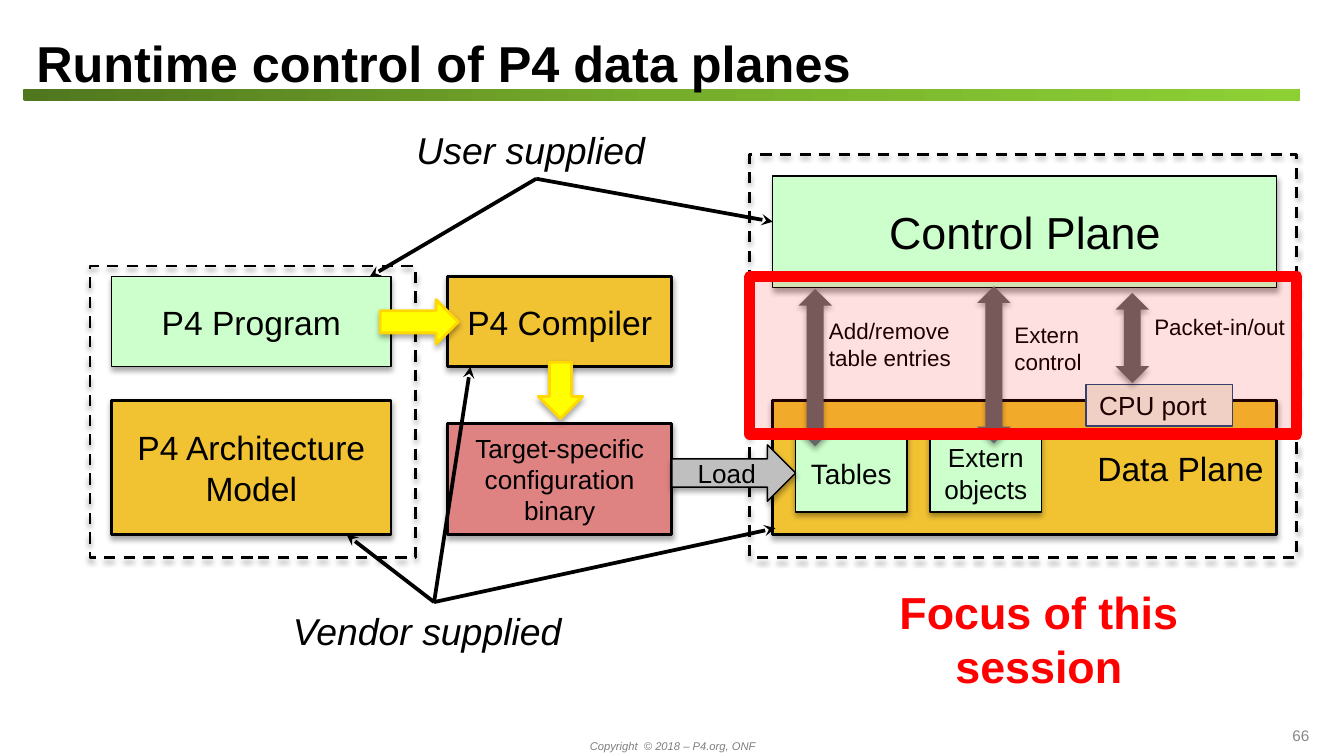
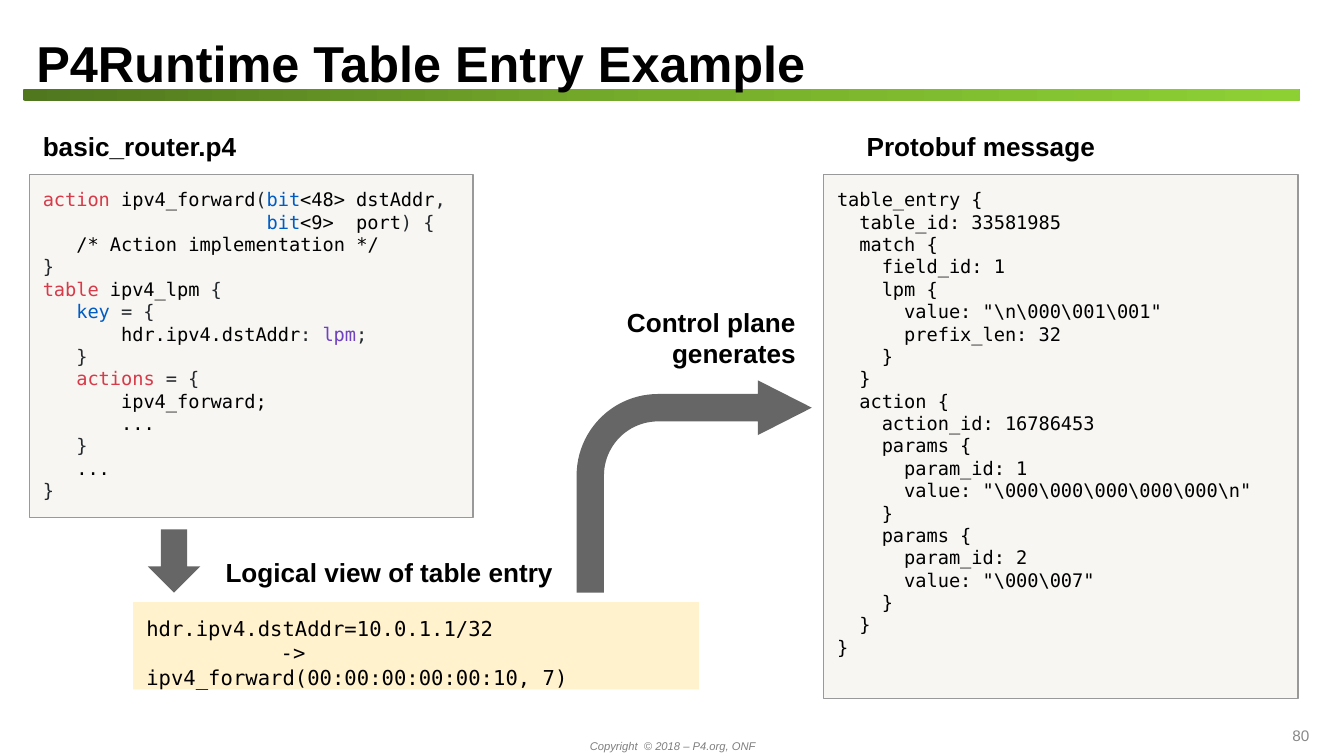
import copy
from dataclasses import dataclass, field
from functools import partial
from typing import Any, Optional

import pptx
import pptx.dml.color
import pptx.enum.dml
import pptx.enum.shapes
import pptx.enum.text
import pptx.oxml
import pptx.oxml.ns
import pptx.util

Inches, Pt = pptx.util.Inches, pptx.util.Pt
Kind = pptx.enum.shapes.MSO_SHAPE
Align, Anchor = pptx.enum.text.PP_ALIGN, pptx.enum.text.MSO_ANCHOR
qn = pptx.oxml.ns.qn
NS = pptx.oxml.ns.nsdecls("a")

SANS, MONO = "Arial", "DejaVu Sans Mono"
BLACK, RED, GRAY = "000000", "FF0000", "666666"
GREEN, GOLD, ROSE, YELLOW = "CCFFCC", "F1C232", "DE8282", "FFFF00"
IVORY, CREAM = "EEECE1", "FFF2CC"
WORD, TYPE, MATCH, MARK = "D73A49", "005CC5", "6F42C1", "24292E"
BAND = [(0, "50771E"), (0.5, "76AD2B"), (1, "8DD034")]
LEAD = 1.2  # line pitch as a share of the text size

Line = str | list[tuple[str, str]]
Rect = tuple[float, float, float, float]
Point = tuple[float, float]

@dataclass
class Box:
    """A shape, or a plain text box when kind is None."""
    kind: Optional[Kind]
    at: Rect
    text: str | list[Line] = ""
    fill: Optional[str] = None
    alpha: Optional[int] = None
    edge: Optional[str] = None
    width: float = 0.75
    dash: bool = False
    shade: bool = False
    turn: float = 0
    adjust: tuple[float, ...] = ()
    style: dict[str, Any] = field(default_factory=dict)

def rgb(code: str) -> pptx.dml.color.RGBColor:
    return pptx.dml.color.RGBColor.from_string(code)

def write(frame: Any, text: str | list[Line], *, size: float = 14, color: str = BLACK,
          font: str = SANS, bold: bool = False, italic: bool = False,
          align: Align = Align.LEFT, anchor: Anchor = Anchor.TOP,
          pad: float = 0.1, tab: Optional[float] = None) -> None:
    """Fill a frame; a list gives paragraphs, a newline breaks a line."""
    frame.word_wrap = True
    frame.auto_size = pptx.enum.text.MSO_AUTO_SIZE.NONE
    frame.vertical_anchor = anchor
    frame.margin_left = frame.margin_right = Inches(0.1)
    frame.margin_top = frame.margin_bottom = Inches(pad)
    for index, line in enumerate([text] if isinstance(text, str) else text):
        para = frame.add_paragraph() if index else frame.paragraphs[0]
        para.alignment = align
        para.line_spacing = Pt(LEAD * size)
        if tab:
            para._p.get_or_add_pPr().append(pptx.oxml.parse_xml(
                f'<a:tabLst {NS}><a:tab pos="{Inches(tab)}" algn="l"/></a:tabLst>'))
        for words, tint in [(line, color)] if isinstance(line, str) else line:
            for count, part in enumerate(words.split("\n")):
                if count:
                    para.add_line_break()
                if not part:
                    continue
                run = para.add_run()
                run.text = part
                face = run.font
                face.name, face.size = font, Pt(size)
                face.bold, face.italic = bold, italic
                face.color.rgb = rgb(tint)

def shadow(shape: Any) -> None:
    shape._element.spPr.find(qn("a:effectLst")).append(pptx.oxml.parse_xml(
        f'<a:outerShdw {NS} blurRad="{Pt(3.1)}" dist="{Pt(1.8)}" '
        'dir="5400000" rotWithShape="0"><a:srgbClr val="000000">'
        '<a:alpha val="35000"/></a:srgbClr></a:outerShdw>'))

def paint(shape: Any, box: Box) -> None:
    shape.shadow.inherit = False
    if box.fill:
        shape.fill.solid()
        shape.fill.fore_color.rgb = rgb(box.fill)
        if box.alpha is not None:
            tint = shape._element.spPr.find(".//" + qn("a:srgbClr"))
            tint.append(pptx.oxml.parse_xml(f'<a:alpha {NS} val="{box.alpha * 1000}"/>'))
    else:
        shape.fill.background()
    if box.edge:
        shape.line.color.rgb = rgb(box.edge)
        shape.line.width = Pt(box.width)
        if box.dash:
            shape.line.dash_style = pptx.enum.dml.MSO_LINE.DASH
    else:
        shape.line.fill.background()
    if box.shade:
        shadow(shape)

def draw(shapes: Any, box: Box) -> Any:
    place = [Inches(n) for n in box.at]
    if box.kind is None:
        shape = shapes.add_textbox(*place)
    else:
        shape = shapes.add_shape(box.kind, *place)
        for index, value in enumerate(box.adjust):
            shape.adjustments[index] = value
        shape.rotation = box.turn
        paint(shape, box)
    if box.text:
        write(shape.text_frame, box.text, **box.style)
    return shape

def link(shapes: Any, start: Point, end: Point) -> None:
    ends = [Inches(n) for n in (*start, *end)]
    line = shapes.add_connector(pptx.enum.shapes.MSO_CONNECTOR.STRAIGHT, *ends)
    line.line.color.rgb = rgb(BLACK)
    line.line.width = Pt(2)
    props = line._element.spPr
    props.find(qn("a:ln")).append(pptx.oxml.parse_xml(f'<a:tailEnd {NS} type="stealth"/>'))
    props.append(pptx.oxml.parse_xml(f"<a:effectLst {NS}/>"))

def label(at: Rect, text: str, **style: Any) -> Box:
    return Box(None, at, text, style=style)

def block(at: Rect, text: str | list[Line], fill: str, size: float,
          align: Align = Align.CENTER, kind: Kind = Kind.RECTANGLE) -> Box:
    """A labelled part of the diagram; gold and rose have a heavy edge."""
    return Box(kind, at, text, fill, edge=BLACK, shade=True,
               width=1.5 if fill in (GOLD, ROSE) else 0.75,
               style=dict(size=size, align=align, anchor=Anchor.MIDDLE, pad=0.05))

frame = partial(Box, Kind.RECTANGLE, edge=BLACK, width=1.5, dash=True, shade=True)
shaft = partial(Box, Kind.UP_DOWN_ARROW, fill=GRAY, shade=True, adjust=(0.5, 0.5))
step = partial(Box, Kind.RIGHT_ARROW, fill=YELLOW, edge="FFD800", width=1.5, shade=True)

def brand(layout: Any, slide: Any) -> None:
    """Build the band and footer, then hang them on the shared layout."""
    band = draw(slide.shapes, Box(Kind.ROUNDED_RECTANGLE, (0.17, 0.66, 9.5, 0.09),
                                  adjust=(0.167,)))
    band.fill.gradient()
    band.fill.gradient_angle = 0
    stops = band._element.spPr.find(".//" + qn("a:gsLst"))
    stops.insert(1, copy.deepcopy(stops[0]))
    for stop, (spot, tint) in zip(band.fill.gradient_stops, BAND):
        stop.position = spot
        stop.color.rgb = rgb(tint)
    note = draw(slide.shapes, label(
        (1.17, 5.45, 7.67, 0.23), "Copyright  © 2018 – P4.org, ONF", size=6,
        color="7F7F7F", italic=True, pad=0.05, align=Align.CENTER))
    for item in (band, note):
        layout.shapes._spTree.append(item._element)

def start(deck: Any, layout: Any, title: str, page: int) -> Any:
    slide = deck.slides.add_slide(layout)
    head = slide.shapes.title
    head.left, head.top = Inches(0.17), Inches(0.14)
    head.width, head.height = Inches(9.5), Inches(0.52)
    write(head.text_frame, title, size=27, bold=True)
    draw(slide.shapes, label((8.67, 5.39, 1.17, 0.17), str(page), size=8.2, pad=0.05,
                             color="888888", align=Align.RIGHT, anchor=Anchor.MIDDLE))
    return slide

def control(slide: Any) -> None:
    role = dict(size=20, italic=True, pad=0.05)
    parts = [
        frame((0.67, 1.98, 2.42, 2.17)),
        frame((5.58, 1.15, 4.07, 3)),
        block((0.83, 2.06, 2.08, 0.67), "P4 Program", GREEN, 18),
        block((0.83, 2.98, 2.08, 1), ["P4 Architecture", "Model"], GOLD, 18),
        block((3.33, 2.06, 1.67, 0.67), "P4 Compiler", GOLD, 18),
        block((3.33, 3.15, 1.67, 0.83), "Target-specific configuration binary", ROSE, 14),
        block((5.75, 1.31, 3.75, 0.83), "Control Plane", GREEN, 24),
        block((5.75, 2.98, 3.75, 1), "Data Plane", GOLD, 18, Align.RIGHT),
        block((5.92, 3.23, 0.83, 0.58), "Tables", GREEN, 15),
        block((6.92, 3.23, 0.83, 0.58), ["Extern", "objects"], GREEN, 14),
        shaft((5.94, 2.15, 0.25, 1.17)),
        shaft((7.27, 2.13, 0.25, 1.17)),
        step((2.83, 2.23, 0.58, 0.33)),
        step((3.96, 2.74, 0.42, 0.33), turn=90),
        block((5, 3.31, 0.92, 0.42), "Load", "BFBFBF", 14, kind=Kind.RIGHT_ARROW),
        label((2.08, 4.48, 2.29, 0.44), "Vendor supplied", **role),
        label((3, 0.9, 1.99, 0.44), "User supplied", **role),
        label((6.07, 2.26, 1.17, 0.55), "Add/remove\ntable entries", size=12),
        Box(Kind.RECTANGLE, (8.08, 2.86, 1.09, 0.31), "CPU port", IVORY,
            edge="1F497D", style=dict(anchor=Anchor.MIDDLE)),
        shaft((8.3, 2.18, 0.25, 0.67)),
        label((8.49, 2.23, 1.35, 0.55), "Packet-in/out", size=12),
        label((7.45, 2.29, 0.83, 0.55), "Extern\ncontrol", size=12),
    ]
    for part in parts:
        draw(slide.shapes, part)
    for end in ((2.58, 3.98), (3.5, 2.73), (5.77, 3.93)):
        link(slide.shapes, (3.23, 4.48), end)
    for end in ((2.75, 2.06), (5.75, 1.65)):
        link(slide.shapes, (3.99, 1.33), end)
    focus = slide.shapes.add_group_shape().shapes
    draw(focus, Box(Kind.RECTANGLE, (5.58, 2.06, 4.07, 1.17), fill=RED, alpha=12,
                    edge=RED, width=6))
    draw(focus, label((6.18, 4.25, 3.1, 1), "Focus of this session", size=24,
                      color=RED, bold=True, align=Align.CENTER))

ROUTER: list[Line] = [
    [("action ", WORD), ("ipv4_forward", BLACK), ("(", MARK), ("bit", TYPE),
     ("<48> dstAddr", BLACK), (",", MARK)],
    [("                    ", MARK), ("bit", TYPE), ("<9>  port", BLACK), (") {", MARK)],
    "   /* Action implementation */",
    [("}\n", MARK), ("table ", WORD), ("ipv4_lpm", BLACK), (" {", MARK)],
    [("   key", TYPE), (" = {", MARK)],
    [("       hdr.ipv4.dstAddr", BLACK), (": ", MARK), ("lpm", MATCH), (";", MARK)],
    [("   }", MARK)],
    [("   actions", WORD), (" = {", MARK)],
    "       ipv4_forward;",
    "       ...",
    [("   }", MARK)],
    "   ...",
    [("}", MARK)],
]
ENTRY = r"""table_entry {
  table_id: 33581985
  match {
    field_id: 1
    lpm {
      value: "\n\000\001\001"
      prefix_len: 32
    }
  }
  action {
    action_id: 16786453
    params {
      param_id: 1
      value: "\000\000\000\000\000\n"
    }
    params {
      param_id: 2
      value: "\000\007"
    }
  }
}""".splitlines()

def sample(slide: Any) -> None:
    panel = partial(Box, Kind.RECTANGLE, fill=IVORY, alpha=43, edge="999999",
                    style=dict(size=10, font=MONO))
    parts = [
        panel((6.13, 1.3, 3.53, 3.9), ENTRY),
        panel((0.22, 1.3, 3.3, 2.55), ROUTER),
        Box(Kind.RECTANGLE, (0.99, 4.48, 4.21, 0.65),
            "hdr.ipv4.dstAddr=10.0.1.1/32\n\t-> ipv4_forward(00:00:00:00:00:10, 7)",
            CREAM, style=dict(size=11, font=MONO, tab=1)),
        Box(Kind.BENT_ARROW, (4.29, 2.83, 1.75, 1.58), fill=GRAY,
            adjust=(0.129, 0.129, 0.254, 0.384)),
        Box(Kind.DOWN_ARROW, (1.1, 3.94, 0.39, 0.47), fill=GRAY),
        label((0.22, 0.87, 3.3, 0.34), "basic_router.p4", bold=True),
        label((1.58, 4.04, 3.3, 0.34), "Logical view of table entry", bold=True),
        label((6.35, 0.87, 3.3, 0.34), "Protobuf message", bold=True),
        label((3.52, 2.18, 2.5, 0.65), "Control plane\ngenerates", bold=True,
              align=Align.RIGHT),
    ]
    for part in parts:
        draw(slide.shapes, part)

def main() -> None:
    deck = pptx.Presentation()
    deck.slide_width, deck.slide_height = Inches(10), Inches(10 * 9 / 16)
    layout = deck.slide_layouts.get_by_name("Title Only")
    first = start(deck, layout, "Runtime control of P4 data planes", 66)
    brand(layout, first)
    control(first)
    sample(start(deck, layout, "P4Runtime Table Entry Example", 80))
    deck.save("out.pptx")

if __name__ == "__main__":
    main()
